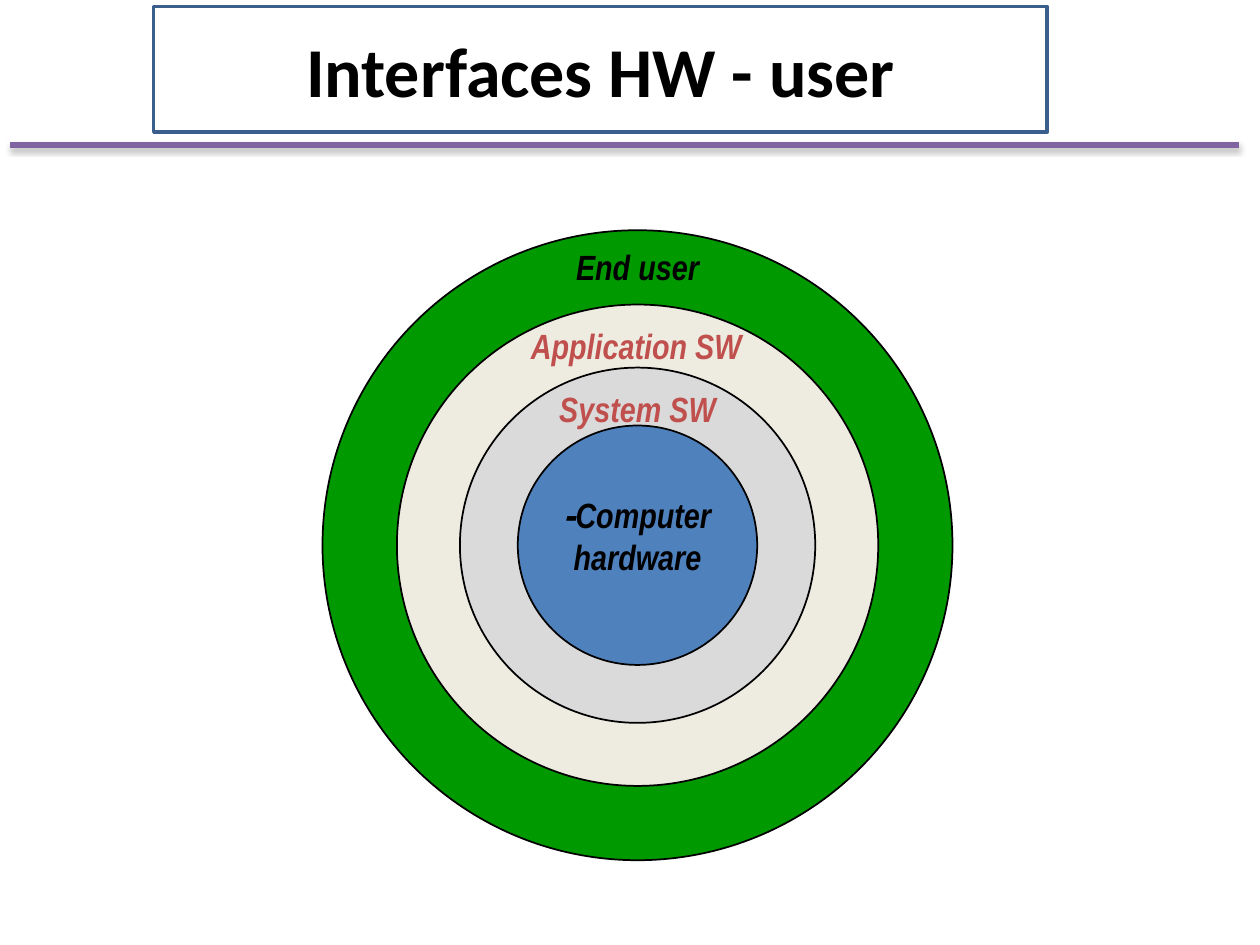
from dataclasses import dataclass

from lxml.etree import SubElement
from pptx import Presentation
from pptx.dml.color import RGBColor as RGB
from pptx.enum.shapes import MSO_CONNECTOR as Connector, MSO_SHAPE as Preset
from pptx.enum.text import MSO_ANCHOR as Anchor, MSO_AUTO_SIZE as AutoSize, PP_ALIGN as Align
from pptx.oxml.ns import qn
from pptx.util import Inches, Pt


@dataclass(frozen=True)
class Theme:
    title_font: str = "Calibri"
    label_font: str = "Arial Narrow"
    title_size: int = 40
    label_size: int = 20
    black: str = "000000"
    red: str = "C0504D"
    rule: str = "8064A2"
    title_outline: str = "3A5F8C"
    user: str = "009900"
    application: str = "EEECE1"
    system: str = "DADADA"
    hardware: str = "4F81BD"


THEME = Theme()
WIDTH, HEIGHT = 10, 7.5
CENTER_X, CENTER_Y = 0.506 * WIDTH, 0.577 * HEIGHT

# Layers from the outside in: diameter, fill
LAYERS = [
    (5.0, THEME.user),
    (3.82, THEME.application),
    (2.82, THEME.system),
    (1.9, THEME.hardware),
]
# Label lines, horizontal center, top, width, height, colour, alignment
LABELS = [
    (["End user"], CENTER_X, 1.9, 1.19, 0.44, THEME.black, Align.CENTER),
    (["Application SW"], 5.04, 2.53, 1.89, 0.44, THEME.red, Align.RIGHT),
    (["System SW"], CENTER_X, 3.03, 1.46, 0.44, THEME.red, Align.CENTER),
    (["Computer-", "hardware"], CENTER_X, 3.87, 1.37, 0.77, THEME.black, Align.CENTER),
]


def write(frame, lines, *, font, size, color, align=Align.CENTER, italic=False):
    """Fill a text frame with bold right-to-left paragraphs."""
    for index, line in enumerate(lines):
        paragraph = frame.add_paragraph() if index else frame.paragraphs[0]
        paragraph.alignment = align
        paragraph._p.get_or_add_pPr().set("rtl", "1")
        run = paragraph.add_run()
        run.text = line
        run.font.name = font
        run.font.size = Pt(size)
        run.font.bold = True
        run.font.italic = italic
        run.font.color.rgb = RGB.from_string(color)


def outline(shape, color, width):
    shape.line.color.rgb = RGB.from_string(color)
    shape.line.width = Pt(width)


def add_title(slide, text):
    """Turn the title placeholder into an outlined ellipse."""
    title = slide.shapes.title
    title.left, title.top = Inches(1.22), Inches(0.05)
    title.width, title.height = Inches(7.09), Inches(1)
    geometry = SubElement(title._element.spPr, qn("a:prstGeom"), prst="ellipse")
    SubElement(geometry, qn("a:avLst"))
    outline(title, THEME.title_outline, 2)
    frame = title.text_frame
    frame.auto_size = AutoSize.NONE
    frame.vertical_anchor = Anchor.MIDDLE
    write(frame, [text], font=THEME.title_font, size=THEME.title_size, color=THEME.black)


def add_rule(slide, left, right, y):
    """Draw the line under the title, with a soft shadow below it."""
    rule = slide.shapes.add_connector(
        Connector.STRAIGHT, Inches(left), Inches(y), Inches(right), Inches(y))
    outline(rule, THEME.rule, 3)
    effects = SubElement(rule._element.spPr, qn("a:effectLst"))
    shadow = SubElement(effects, qn("a:outerShdw"), blurRad=str(Pt(3.1)),
                        dist=str(Pt(1.8)), dir="5400000", rotWithShape="0")
    color = SubElement(shadow, qn("a:srgbClr"), val=THEME.black)
    SubElement(color, qn("a:alpha"), val="35000")


def add_layer(slide, diameter, fill):
    """Draw one of the concentric circles."""
    layer = slide.shapes.add_shape(
        Preset.OVAL, Inches(CENTER_X - diameter / 2), Inches(CENTER_Y - diameter / 2),
        Inches(diameter), Inches(diameter))
    layer.shadow.inherit = False
    layer.fill.solid()
    layer.fill.fore_color.rgb = RGB.from_string(fill)
    outline(layer, THEME.black, 1)


def add_label(slide, lines, center, top, width, height, color, align):
    label = slide.shapes.add_textbox(
        Inches(center - width / 2), Inches(top), Inches(width), Inches(height))
    frame = label.text_frame
    frame.word_wrap = False
    frame.auto_size = AutoSize.SHAPE_TO_FIT_TEXT
    write(frame, lines, font=THEME.label_font, size=THEME.label_size,
          color=color, align=align, italic=True)


def main():
    deck = Presentation()
    deck.slide_width, deck.slide_height = Inches(WIDTH), Inches(HEIGHT)
    slide = deck.slides.add_slide(deck.slide_layouts[5])

    # Heading
    add_title(slide, "Interfaces HW - user")
    add_rule(slide, 0.08, 9.83, 1.15)

    # Layers between hardware and user
    for layer in LAYERS:
        add_layer(slide, *layer)
    for label in LABELS:
        add_label(slide, *label)

    deck.save("out.pptx")


if __name__ == "__main__":
    main()
